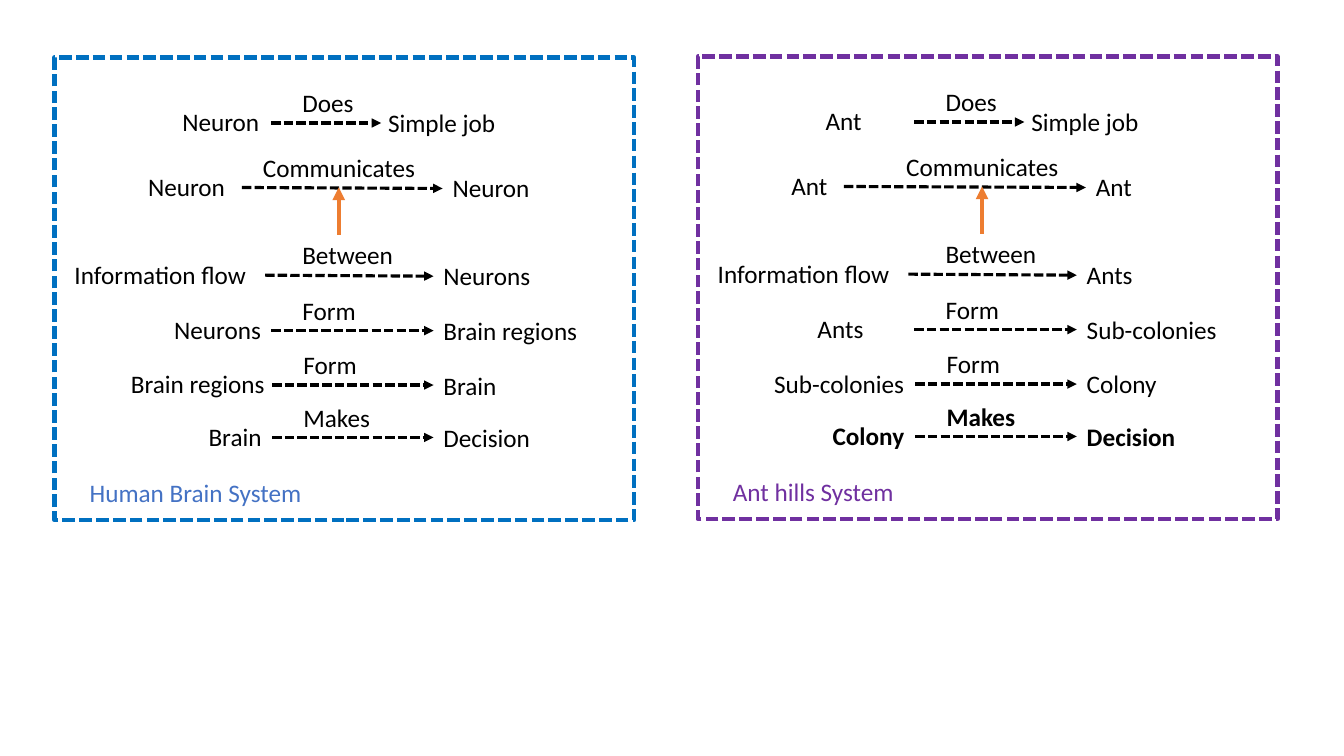
from collections import namedtuple

from lxml import etree
from pptx import Presentation
from pptx.dml.color import RGBColor
from pptx.enum.dml import MSO_LINE
from pptx.enum.shapes import MSO_CONNECTOR, MSO_SHAPE
from pptx.enum.text import MSO_AUTO_SIZE
from pptx.oxml.ns import qn
from pptx.util import Inches, Pt

BLACK = RGBColor(0x00, 0x00, 0x00)
BLUE = RGBColor(0x00, 0x70, 0xC0)
TITLE_BLUE = RGBColor(0x44, 0x72, 0xC4)
PURPLE = RGBColor(0x70, 0x30, 0xA0)
ORANGE = RGBColor(0xED, 0x7D, 0x31)

DASHED = MSO_LINE.SQUARE_DOT
STRAIGHT = MSO_CONNECTOR.STRAIGHT
RECTANGLE = MSO_SHAPE.RECTANGLE
FIT_SHAPE = MSO_AUTO_SIZE.SHAPE_TO_FIT_TEXT

PANEL_WIDTH, PANEL_HEIGHT = 5.75, 4.59
TEXT_HEIGHT = 0.4
VERB_RISE = 0.19
ARROW_DROP = 0.21
OBJECT_DROP = 0.01
BOLD_EXTRA = 0.2

# Positions are measured from the top left corner of a panel.
Row = namedtuple("Row", "verb verb_left verb_width top start end object_left slope")
ROWS = [
    Row("Does", 2.36, 1.03, 0.44, 2.15, 3.24, 3.21, 0),
    Row("Communicates", 1.97, 1.77, 1.08, 1.86, 3.85, 3.85, 0.01),
    Row("Between", 2.36, 1.77, 1.95, 2.09, 3.76, 3.76, 0.01),
    Row("Form", 2.36, 0.87, 2.5, 2.15, 3.76, 3.76, 0),
    Row("Form", 2.37, 0.87, 3.04, 2.16, 3.76, 3.76, 0),
    Row("Makes", 2.37, 0.87, 3.56, 2.16, 3.76, 3.76, 0),
]

# Each term is (subject, subject left, subject width, object, object width).
Panel = namedtuple("Panel", "left top colour title title_colour title_width terms starts bold_rows")
BRAIN = Panel(
    0.54, 0.57, BLUE, "Human Brain System", TITLE_BLUE, 2.32,
    [
        ("Neuron ", 1.17, 1.03, "Simple job", 1.28),
        ("Neuron ", 0.83, 1.03, "Neuron", 0.97),
        ("Information flow ", 0.1, 1.98, "Neurons", 1.07),
        ("Neurons", 1.09, 1.07, "Brain regions", 1.54),
        ("Brain regions", 0.66, 1.54, "Brain", 0.73),
        ("Brain ", 1.43, 0.79, "Decision", 1.07),
    ],
    {}, set(),
)
ANTS = Panel(
    6.92, 0.56, PURPLE, "Ant hills System ", PURPLE, 1.87,
    [
        ("Ant ", 1.17, 0.62, "Simple job", 1.28),
        ("Ant ", 0.83, 0.62, "Ant", 0.56),
        ("Information flow ", 0.1, 1.98, "Ants", 0.66),
        ("Ants", 1.09, 0.66, "Sub-colonies", 1.51),
        ("Sub-colonies", 0.66, 1.51, "Colony", 0.9),
        ("Colony ", 1.24, 0.97, "Decision", 1.09),
    ],
    {1: 1.45}, {5},
)


def set_values(target, values):
    """Set each named attribute of the target."""
    for name, value in values.items():
        setattr(target, name, value)


def add_frame(page, panel):
    """Draw the dashed border of a panel."""
    frame = page.shapes.add_shape(
        RECTANGLE, Inches(panel.left), Inches(panel.top),
        Inches(PANEL_WIDTH), Inches(PANEL_HEIGHT))
    frame.shadow.inherit = False
    frame.fill.background()
    frame.line.color.rgb = panel.colour
    set_values(frame.line, {"width": Pt(3), "dash_style": DASHED})


def add_text(page, text, left, top, width, colour=BLACK, bold=False, wrap=False):
    """Place one line of text."""
    box = page.shapes.add_textbox(
        Inches(left), Inches(top), Inches(width), Inches(TEXT_HEIGHT))
    set_values(box.text_frame, {"word_wrap": wrap, "auto_size": FIT_SHAPE})
    span = box.text_frame.paragraphs[0].add_run()
    span.text = text
    set_values(span.font, {"name": "Calibri", "size": Pt(18), "bold": bold})
    span.font.color.rgb = colour


def add_arrow(page, start, end, colour=BLACK, width=2.25, dash=DASHED):
    """Draw a line with a triangle head at its end."""
    arrow = page.shapes.add_connector(
        STRAIGHT, *[Inches(value) for value in (*start, *end)])
    arrow.line.color.rgb = colour
    set_values(arrow.line, {"width": Pt(width), "dash_style": dash})
    etree.SubElement(arrow.line._get_or_add_ln(), qn("a:tailEnd"), type="triangle")
    etree.SubElement(arrow._element.spPr, qn("a:effectLst"))


def add_relation(page, panel, index):
    """Write subject, arrow, verb and object of one row."""
    row = ROWS[index]
    subject, subject_left, subject_width, result, result_width = panel.terms[index]
    bold = index in panel.bold_rows
    left, top = panel.left, panel.top + row.top
    start = panel.starts.get(index, row.start)
    arrow_top = top + ARROW_DROP
    verb_width = row.verb_width + BOLD_EXTRA * bold
    add_text(page, subject, left + subject_left, top, subject_width, bold=bold)
    add_arrow(page, (left + start, arrow_top), (left + row.end, arrow_top + row.slope))
    add_text(page, row.verb, left + row.verb_left, top - VERB_RISE, verb_width,
             bold=bold, wrap=True)
    add_text(page, result, left + row.object_left, top + OBJECT_DROP, result_width,
             bold=bold)


def add_panel(page, panel):
    """Build one system with its relations and title."""
    add_frame(page, panel)
    for index in range(len(ROWS)):
        add_relation(page, panel, index)
    middle = panel.left + 2.82
    add_arrow(page, (middle, panel.top + 1.76), (middle, panel.top + 1.29),
              ORANGE, 3, None)
    add_text(page, panel.title, panel.left + 0.25, panel.top + 4.12,
             panel.title_width, panel.title_colour)


def main():
    """Create and save the slide."""
    deck = Presentation()
    set_values(deck, {"slide_width": Inches(13.33), "slide_height": Inches(7.5)})
    page = deck.slides.add_slide(deck.slide_layouts[6])
    for panel in (BRAIN, ANTS):
        add_panel(page, panel)
    deck.save("out.pptx")


main()
